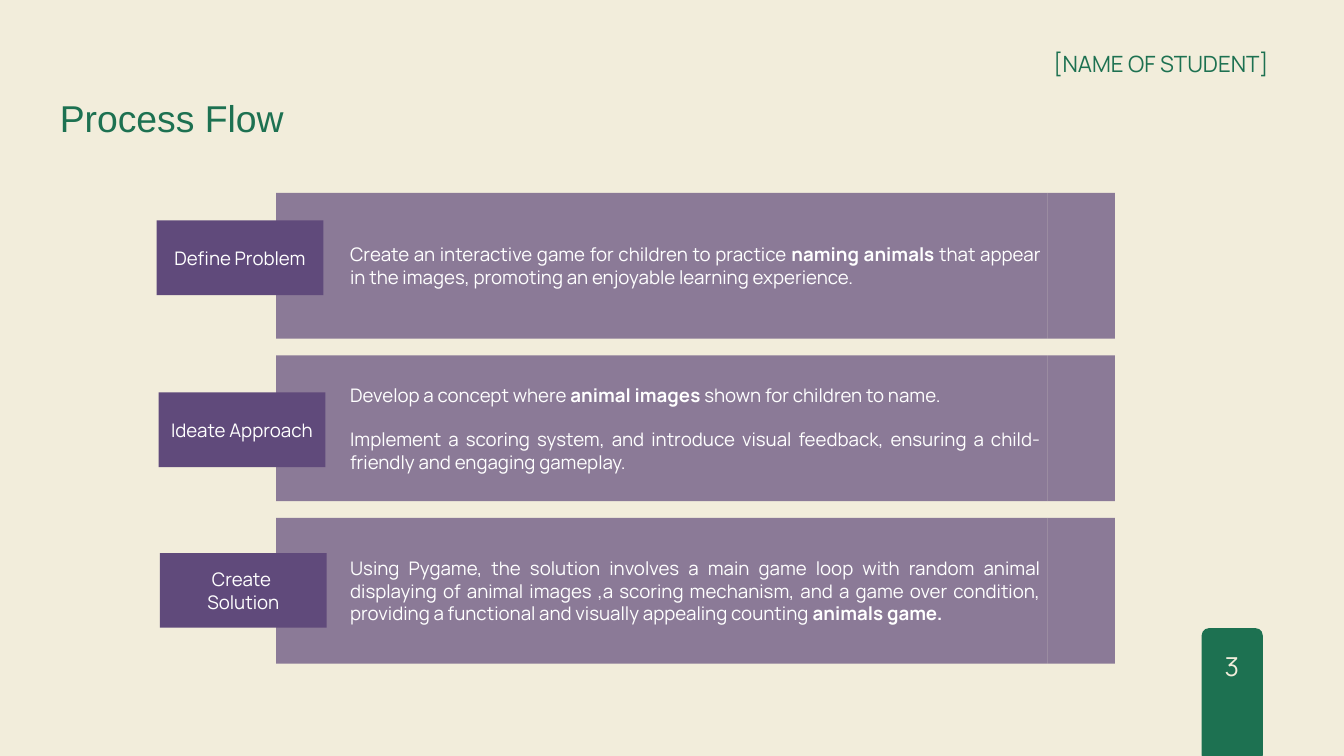
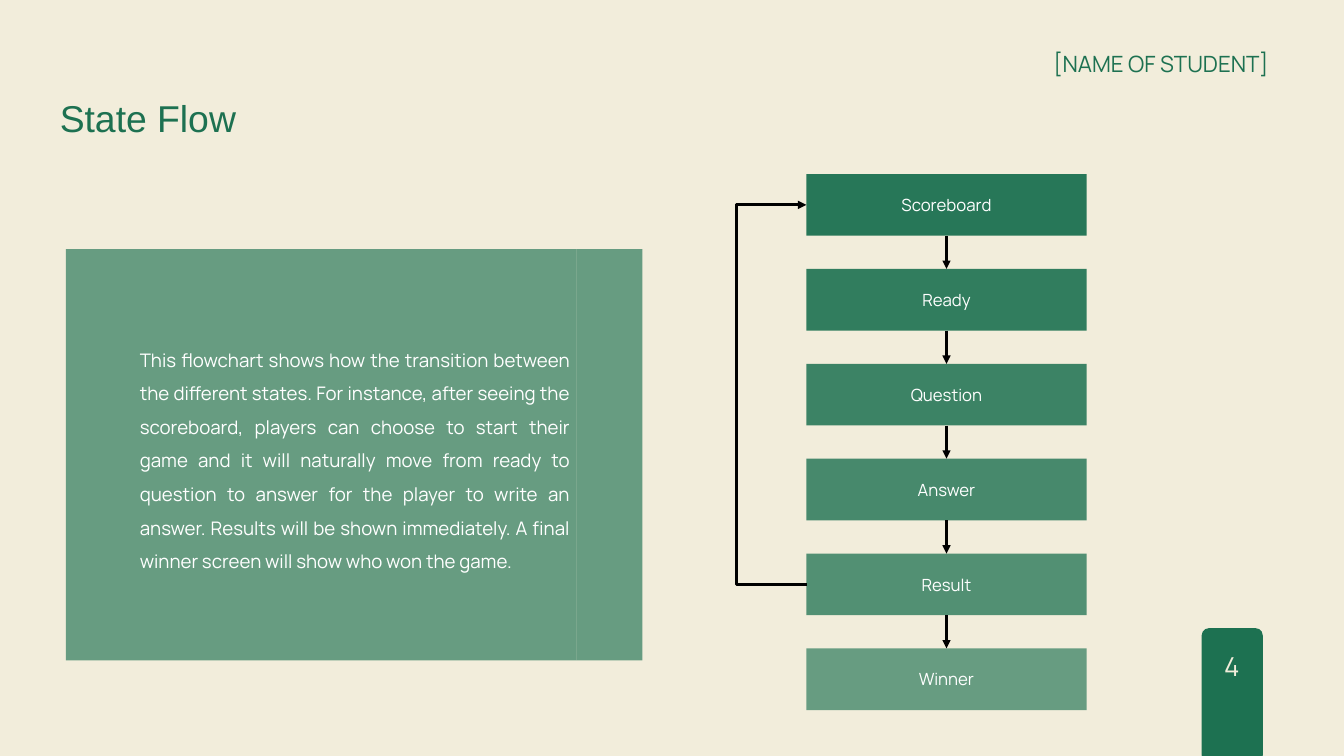
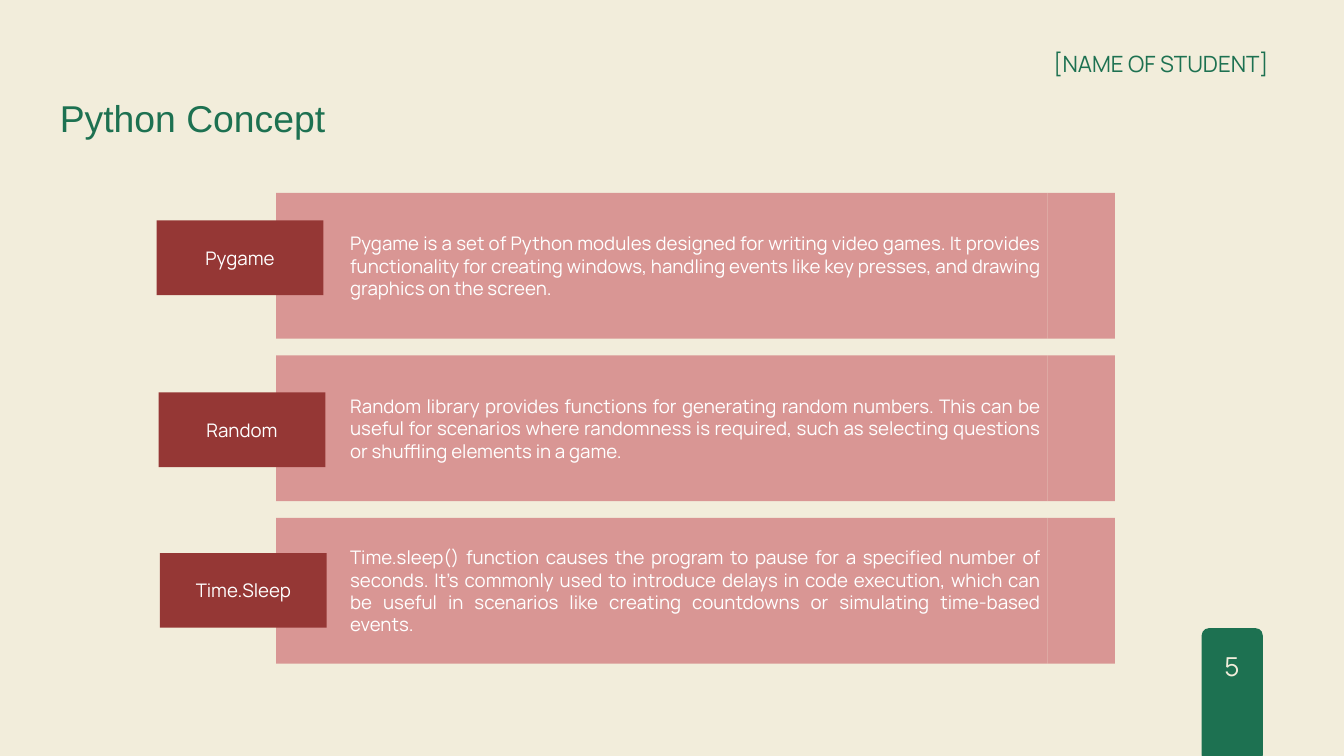
from lxml.etree import SubElement
from pptx import Presentation
from pptx.dml.color import RGBColor
from pptx.enum.dml import MSO_LINE
from pptx.enum.shapes import MSO_CONNECTOR, MSO_SHAPE
from pptx.enum.text import MSO_ANCHOR, MSO_AUTO_SIZE, PP_ALIGN
from pptx.oxml.ns import qn
from pptx.util import Pt

COLORS = {
    "cream": "F2EDDB",
    "green": "1D7151",
    "purple": "604A7B",
    "pink": "D99694",
    "red": "953735",
    "white": "FFFFFF",
    "black": "000000",
}
BODY_FONT, TITLE_FONT = "Manrope", "Arial"
TEXT_INDENT = 79.2
LINE_HEIGHT = 24


def rgb(name):
    return RGBColor.from_string(COLORS[name])


class DeckBuilder:
    def __init__(self):
        self.deck = Presentation()
        self.deck.slide_width, self.deck.slide_height = Pt(1440), Pt(810)
        background = self.deck.slide_master.background.fill
        background.solid()
        background.fore_color.rgb = rgb("cream")
        self.page = None

    def add_page(self, title, number):
        self.page = self.deck.slides.add_slide(self.deck.slide_layouts[6])
        tab = self.box(1287.5, 673, 65.5, 144, "green", kind=MSO_SHAPE.ROUNDED_RECTANGLE)
        tab.adjustments[0] = 0.12
        self.label(1305.4, 691.2, 28.8, 38, str(number), 28, 39.2, "cream", PP_ALIGN.CENTER)
        self.label(64.1, 94.3, 547.2, 54.7, title, 40, 56, font=TITLE_FONT)
        self.label(1079.3, 49, 280, 32.4, "[NAME OF STUDENT]", 24, 33.6, align=PP_ALIGN.RIGHT)

    def add_spans(self, para, text, size, color="white", font=BODY_FONT):
        """Fill a paragraph; parts between ** marks are bold."""
        for index, part in enumerate(text.split("**")):
            if part:
                span = para.add_run()
                span.text = part
                span.font.size = Pt(size)
                span.font.name = font
                span.font.bold = index % 2 == 1
                span.font.color.rgb = rgb(color)

    def label(self, left, top, width, height, text, size, spacing,
              color="green", align=PP_ALIGN.LEFT, font=BODY_FONT):
        frame = self.page.shapes.add_textbox(Pt(left), Pt(top), Pt(width), Pt(height)).text_frame
        frame.margin_left = frame.margin_right = frame.margin_top = frame.margin_bottom = 0
        frame.word_wrap = True
        frame.auto_size = MSO_AUTO_SIZE.SHAPE_TO_FIT_TEXT
        para = frame.paragraphs[0]
        para.alignment = align
        para.line_spacing = Pt(spacing)
        self.add_spans(para, text, size, color, font)

    def box(self, left, top, width, height, color, opacity=100, texts=(), size=20,
            align=PP_ALIGN.CENTER, kind=MSO_SHAPE.RECTANGLE):
        box = self.page.shapes.add_shape(kind, Pt(left), Pt(top), Pt(width), Pt(height))
        box.shadow.inherit = False
        box.line.fill.background()
        box.fill.solid()
        box.fill.fore_color.rgb = rgb(color)
        if opacity < 100:
            fill_color = next(box._element.spPr.iter(qn("a:srgbClr")))
            SubElement(fill_color, qn("a:alpha")).set("val", str(opacity * 1000))
        frame = box.text_frame
        frame.word_wrap = True
        frame.vertical_anchor = MSO_ANCHOR.MIDDLE
        for index, text in enumerate(texts):
            para = frame.add_paragraph() if index else frame.paragraphs[0]
            para.alignment = align
            self.add_spans(para, text, size)
        return box

    def panel(self, left, top, width, height, edge, color, opacity, texts):
        """Draw a text panel with a plain strip along its right side."""
        body = self.box(left, top, width, height, color, opacity, texts, align=PP_ALIGN.JUSTIFY)
        body.text_frame.margin_left = Pt(TEXT_INDENT)
        self.box(left + width, top, edge, height, color, opacity)
        return body.text_frame

    def arrow(self, start, end, kind=MSO_CONNECTOR.STRAIGHT):
        line = self.page.shapes.add_connector(kind, *(Pt(value) for value in (*start, *end)))
        line.line.color.rgb = rgb("black")
        line.line.width = Pt(3)
        line.line.dash_style = MSO_LINE.SOLID
        properties = line._element.spPr
        SubElement(properties.find(qn("a:ln")), qn("a:tailEnd")).set("type", "triangle")
        SubElement(properties, qn("a:effectLst"))
        return line

    def topic_rows(self, rows, panel_color, opacity, tag_color):
        """Stack three panels, each with a tag over its left side."""
        tag_places = [(167.8, 236.2), (169.9, 420.5), (171.4, 592.6)]
        for index, (_, texts) in enumerate(rows):
            frame = self.panel(295.9, 206.6 + 174.2 * index, 826.2, 156.2, 72.5,
                               panel_color, opacity, texts)
            for para in frame.paragraphs[1:]:
                para.space_before = Pt(LINE_HEIGHT)
        for (tag, _), (left, top) in zip(rows, tag_places):
            self.box(left, top, 178.6, 79.9, tag_color, texts=tag)

    def state_chart(self, states):
        left, top, width, height, pitch = 864, 186.5, 300.2, 66.1, 101.65
        boxes = [
            self.box(left, top + pitch * index, width, height, "green", opacity, [name], 18)
            for index, (name, opacity) in enumerate(states)
        ]
        center = left + width / 2
        for index, (upper, lower) in enumerate(zip(boxes, boxes[1:])):
            bottom = top + pitch * index + height
            line = self.arrow((center, bottom), (center, top + pitch * (index + 1)))
            line.begin_connect(upper, 2)
            line.end_connect(lower, 0)

        offset, reach = 0.72, 77
        middle = top + height / 2
        loop = self.arrow((left + offset, middle + 4 * pitch), (left, middle), MSO_CONNECTOR.ELBOW)
        guide = SubElement(loop._element.spPr.find(qn("a:prstGeom")).find(qn("a:avLst")), qn("a:gd"))
        guide.set("name", "adj1")
        guide.set("fmla", f"val {round(reach / offset * 100000)}")


def main():
    builder = DeckBuilder()

    builder.add_page("Process Flow", 3)
    builder.topic_rows([
        (["Define Problem"],
         ["Create an interactive game for children to practice** naming animals** that appear "
          "in the images, promoting an enjoyable learning experience."]),
        (["Ideate Approach"],
         ["Develop a concept where **animal images **shown for children to name. ",
          "Implement a scoring system, and introduce visual feedback, ensuring a "
          "child-friendly and engaging gameplay."]),
        (["Create ", "Solution"],
         ["Using Pygame, the solution involves a main game loop with random animal displaying "
          "of animal images ,a scoring mechanism, and a game over condition, providing a "
          "functional and visually appealing counting **animals game.**"]),
    ], "purple", 70, "purple")

    builder.add_page("State Flow", 4)
    builder.state_chart([("Scoreboard", 95), ("Ready", 90), ("Question", 85),
                         ("Answer", 80), ("Result", 75), ("Winner", 65)])
    frame = builder.panel(70.6, 267, 547.2, 440.6, 70.5, "green", 65, [
        "This flowchart shows how the transition between the different states. For instance, "
        "after seeing the scoreboard, players can choose to start their game and it will "
        "naturally move from ready to question to answer for the player to write an answer. "
        "Results will be shown immediately. A final winner screen will show who won the game."])
    frame.paragraphs[0].line_spacing = 1.5

    builder.add_page("Python Concept", 5)
    builder.topic_rows([
        (["Pygame"],
         ["Pygame is a set of Python modules designed for writing video games. It provides "
          "functionality for creating windows, handling events like key presses, and drawing "
          "graphics on the screen."]),
        (["Random"],
         ["Random library provides functions for generating random numbers. This can be useful "
          "for scenarios where randomness is required, such as selecting questions or "
          "shuffling elements in a game."]),
        (["Time.Sleep"],
         ["Time.sleep() function causes the program to pause for a specified number of seconds. "
          "It's commonly used to introduce delays in code execution, which can be useful in "
          "scenarios like creating countdowns or simulating time-based events."]),
    ], "pink", 100, "red")

    builder.deck.save("out.pptx")


if __name__ == "__main__":
    main()
